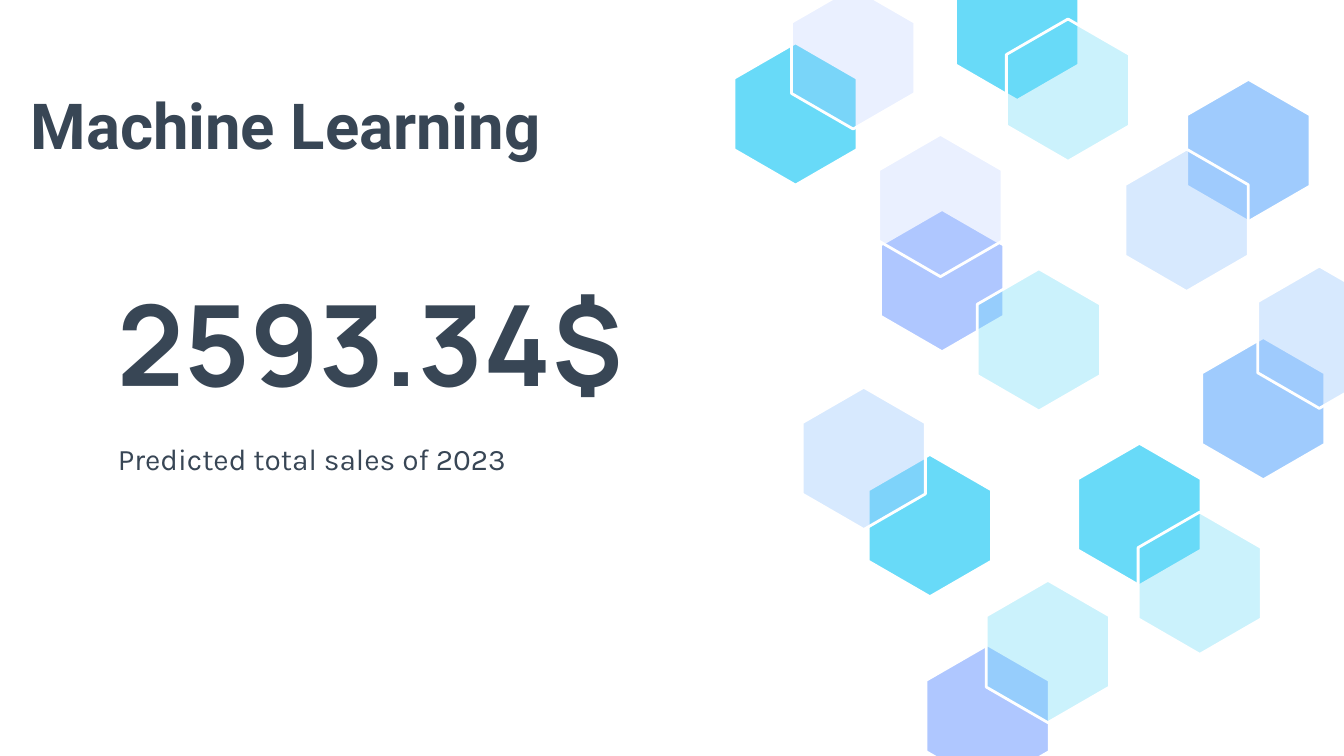
import pptx
import pptx.dml.color
import pptx.enum.text
import pptx.oxml
import pptx.oxml.ns
import pptx.util
from pptx.util import Cm

INK = "384655"
WHITE = "FFFFFF"
CYAN = "68DAF8"
BLUE = "9FCBFD"
VIOLET = "AFC7FF"

HEX_WIDTH = 2.33
HEX_HEIGHT = 2.69

# Left, top, fill and opacity in percent, from back to front
HEXAGONS = [
    (13.87, 0.81, CYAN, 100),
    (22.43, 1.50, BLUE, 100),
    (21.26, 2.82, BLUE, 41),
    (16.64, 3.96, VIOLET, 100),
    (16.61, 2.54, VIOLET, 25),
    (18.06, -0.79, CYAN, 100),
    (19.02, 0.36, CYAN, 34),
    (16.41, 8.59, CYAN, 100),
    (17.50, 12.19, VIOLET, 100),
    (14.96, -0.25, VIOLET, 25),
    (18.64, 10.97, CYAN, 34),
    (22.71, 6.38, BLUE, 100),
    (23.77, 5.03, BLUE, 41),
    (20.37, 8.38, CYAN, 100),
    (21.51, 9.68, CYAN, 34),
    (15.16, 7.32, BLUE, 41),
    (18.47, 5.08, CYAN, 34),
]


def color(value):
    return pptx.dml.color.RGBColor.from_string(value)


def add_hexagon(page, left, top, fill, opacity):
    right, middle = left + HEX_WIDTH, left + HEX_WIDTH / 2
    upper, lower = top + HEX_HEIGHT / 4, top + HEX_HEIGHT * 3 / 4
    corners = [(left, upper), (left, lower), (middle, top + HEX_HEIGHT),
               (right, lower), (right, upper)]
    builder = page.shapes.build_freeform(Cm(middle), Cm(top))
    builder.add_line_segments([(Cm(x), Cm(y)) for x, y in corners], close=True)
    hexagon = builder.convert_to_shape()
    hexagon.shadow.inherit = False
    hexagon.fill.solid()
    hexagon.fill.fore_color.rgb = color(fill)
    hexagon.line.color.rgb = color(WHITE)
    hexagon.line.width = pptx.util.Pt(1.5)
    if opacity < 100:
        solid_fill = hexagon.element.spPr.find(pptx.oxml.ns.qn("a:solidFill"))
        alpha = pptx.oxml.parse_xml(
            f'<a:alpha {pptx.oxml.ns.nsdecls("a")} val="{opacity * 1000}"/>')
        solid_fill[0].append(alpha)


def add_text(page, text, place, font, size, bold=False, anchor="BOTTOM", spacing=1.0):
    box = page.shapes.add_textbox(*[Cm(length) for length in place])
    frame = box.text_frame
    frame.word_wrap = True
    frame.vertical_anchor = pptx.enum.text.MSO_ANCHOR[anchor]
    frame.margin_left = frame.margin_right = Cm(0.25)
    frame.margin_top = frame.margin_bottom = Cm(0.25)
    para = frame.paragraphs[0]
    para.text = text
    para.line_spacing = spacing
    para.font.name = font
    para.font.size = pptx.util.Pt(size)
    para.font.bold = bold
    para.font.color.rgb = color(INK)


def main():
    deck = pptx.Presentation()
    deck.slide_width, deck.slide_height = Cm(25.4), Cm(14.29)
    page = deck.slides.add_slide(deck.slide_layouts[6])
    page.background.fill.solid()
    page.background.fill.fore_color.rgb = color(WHITE)

    # Key figure and its caption
    add_text(page, "2593.34$", (1.98, 4.93, 12.98, 3.05), "Manrope", 60, bold=True)
    add_text(page, "Predicted total sales of 2023", (1.98, 7.98, 12.98, 1.37),
             "Karla", 16, anchor="TOP", spacing=1.15)

    # Hexagon pattern
    for hexagon in HEXAGONS:
        add_hexagon(page, *hexagon)

    # Heading
    add_text(page, "Machine Learning", (0.33, 1.9, 14.55, 1.42), "Roboto", 34, bold=True)

    deck.save("out.pptx")


if __name__ == "__main__":
    main()
